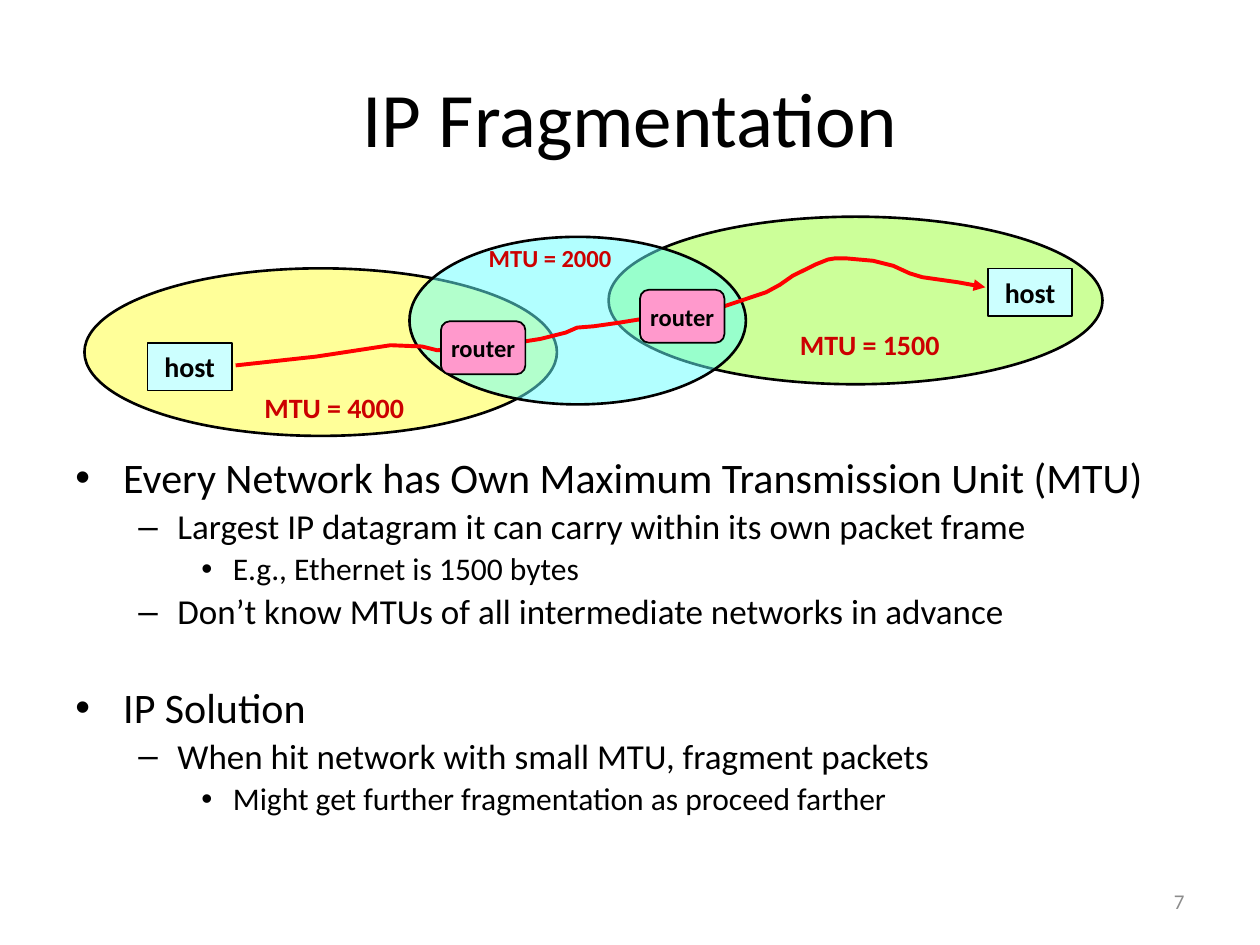
from lxml.etree import SubElement
from pptx import Presentation
from pptx.dml.color import RGBColor
from pptx.enum.shapes import MSO_SHAPE as Preset
from pptx.enum.text import MSO_ANCHOR as Anchor, PP_ALIGN as Align
from pptx.oxml.ns import qn
from pptx.util import Inches, Pt

FONT = "Calibri"
BLACK = RGBColor(0x00, 0x00, 0x00)
GRAY = RGBColor(0x8C, 0x8C, 0x8C)
RED = RGBColor(0xFF, 0x00, 0x00)
DARK_RED = RGBColor(0xCC, 0x00, 0x00)
YELLOW = RGBColor(0xFF, 0xFF, 0x99)
GREEN = RGBColor(0xCC, 0xFF, 0x99)
CYAN = RGBColor(0x66, 0xFF, 0xFF)
PALE_CYAN = RGBColor(0xCC, 0xFF, 0xFF)
PINK = RGBColor(0xFF, 0x99, 0xCC)

# Bullet, left margin, hanging indent (inches) and text size of each level
LEVELS = [("•", 0.38, 0.38, 24), ("–", 0.81, 0.31, 20), ("•", 1.25, 0.25, 18)]
SECTION_GAP = 31
BULLETS = [
    (0, "Every Network has Own Maximum Transmission Unit (MTU)"),
    (1, "Largest IP datagram it can carry within its own packet frame"),
    (2, "E.g., Ethernet is 1500 bytes"),
    (1, "Don’t know MTUs of all intermediate networks in advance"),
    (0, "IP Solution"),
    (1, "When hit network with small MTU, fragment packets"),
    (2, "Might get further fragmentation as proceed farther"),
]

# Places in the diagram are inches from its top left corner
NETWORKS = [
    (0, 0.41, 3.75, YELLOW, None),
    (4.16, 0, 3.92, GREEN, None),
    (2.58, 0.16, 2.67, CYAN, 50),
]
HOSTS = [(0.5, 1.0), (7.17, 0.41)]
ROUTERS = [(2.83, 0.83), (4.41, 0.58)]
MTU_LABELS = [
    ("MTU = 4000", 1.33, 1.33, 16),
    ("MTU = 1500", 5.58, 0.83, 16),
    ("MTU = 2000", 3.11, 0.16, 14),
]
ROUTE = [
    (1.2, 1.18), (1.84, 1.11), (2.43, 1.02), (2.68, 1.03), (2.8, 1.06),
    (3.3, 1.02), (3.62, 0.97), (3.82, 0.92), (3.91, 0.88), (4.04, 0.87),
    (4.25, 0.84), (4.5, 0.8), (4.75, 0.81), (5.02, 0.73), (5.41, 0.6),
    (5.52, 0.54), (5.62, 0.47), (5.8, 0.38), (5.9, 0.34), (5.96, 0.33),
    (6.04, 0.33), (6.26, 0.35), (6.42, 0.39), (6.55, 0.45), (6.65, 0.48),
    (6.93, 0.52), (7.15, 0.56),
]


def style(para, size, color=BLACK, bold=False, align=Align.LEFT):
    para.alignment = align
    font = para.font
    font.name, font.size, font.bold = FONT, Pt(size), bold
    font.color.rgb = color


def add_text(page, left, top, width, height, text, size, color=BLACK,
             bold=False, align=Align.LEFT, anchor=Anchor.TOP):
    box = page.shapes.add_textbox(Inches(left), Inches(top), Inches(width), Inches(height))
    frame = box.text_frame
    frame.word_wrap, frame.vertical_anchor = True, anchor
    frame.text = text
    style(frame.paragraphs[0], size, color, bold, align)


def add_outlined(page, preset, left, top, width, height, fill, line_width):
    shape = page.shapes.add_shape(
        preset, Inches(left), Inches(top), Inches(width), Inches(height))
    shape.shadow.inherit = False
    shape.fill.solid()
    shape.fill.fore_color.rgb = fill
    shape.line.color.rgb = BLACK
    shape.line.width = Pt(line_width)
    return shape


def add_node(page, preset, left, top, height, text, size, fill):
    node = add_outlined(page, preset, left, top, 0.67, height, fill, 1)
    frame = node.text_frame
    frame.word_wrap, frame.vertical_anchor = False, Anchor.MIDDLE
    frame.text = text
    style(frame.paragraphs[0], size, bold=True, align=Align.CENTER)


def add_route(page, left, top):
    points = [(Inches(left + x), Inches(top + y)) for x, y in ROUTE]
    builder = page.shapes.build_freeform(*points[0])
    builder.add_line_segments(points[1:], close=False)
    route = builder.convert_to_shape()
    route.shadow.inherit = False
    route.fill.background()
    route.line.color.rgb = RED
    route.line.width = Pt(2.25)
    line = route.line._get_or_add_ln()
    SubElement(line, qn("a:round"))
    SubElement(line, qn("a:tailEnd"), type="triangle")


def add_diagram(page, left, top):
    # Overlapping networks
    for x, y, width, color, opacity in NETWORKS:
        network = add_outlined(page, Preset.OVAL, left + x, top + y, width, 1.33, color, 1.5)
        if opacity:
            fill_color = network.fill._xPr.find(qn("a:solidFill"))[0]
            SubElement(fill_color, qn("a:alpha"), val=str(opacity * 1000))
    # Hosts, the route between them, and the routers on top of it
    for x, y in HOSTS:
        add_node(page, Preset.RECTANGLE, left + x, top + y, 0.38, "host", 16, PALE_CYAN)
    add_route(page, left, top)
    for x, y in ROUTERS:
        add_node(page, Preset.ROUNDED_RECTANGLE, left + x, top + y, 0.42, "router", 14, PINK)
    # MTU of each network
    for text, x, y, size in MTU_LABELS:
        add_text(page, left + x, top + y, 1.59, 0.37, text, size, DARK_RED, bold=True)


def add_bullets(page, left, top, width, height):
    box = page.shapes.add_textbox(Inches(left), Inches(top), Inches(width), Inches(height))
    frame = box.text_frame
    frame.word_wrap = True
    for index, (level, text) in enumerate(BULLETS):
        para = frame.add_paragraph() if index else frame.paragraphs[0]
        para.text = text
        para.level = level
        bullet, margin, hanging, size = LEVELS[level]
        para.line_spacing = 0.9
        if index:
            para.space_before = Pt(size * 0.2 if level else SECTION_GAP)
        props = para._p.get_or_add_pPr()
        props.set("marL", str(Inches(margin)))
        props.set("indent", str(-Inches(hanging)))
        SubElement(props, qn("a:buFont"), typeface="Arial")
        SubElement(props, qn("a:buChar"), char=bullet)
        style(para, size)


def main():
    deck = Presentation()
    deck.slide_width, deck.slide_height = Inches(10), Inches(7.5)
    page = deck.slides.add_slide(deck.slide_layouts[6])
    # Title
    add_text(page, 0.5, 0.3, 9, 1.25, "IP Fragmentation", 44,
             align=Align.CENTER, anchor=Anchor.MIDDLE)
    add_diagram(page, 0.67, 1.72)
    add_bullets(page, 0.5, 3.58, 9.27, 3.59)
    # Page number
    add_text(page, 7.17, 6.95, 2.33, 0.4, "7", 12, GRAY,
             align=Align.RIGHT, anchor=Anchor.MIDDLE)
    deck.save("out.pptx")


if __name__ == "__main__":
    main()
